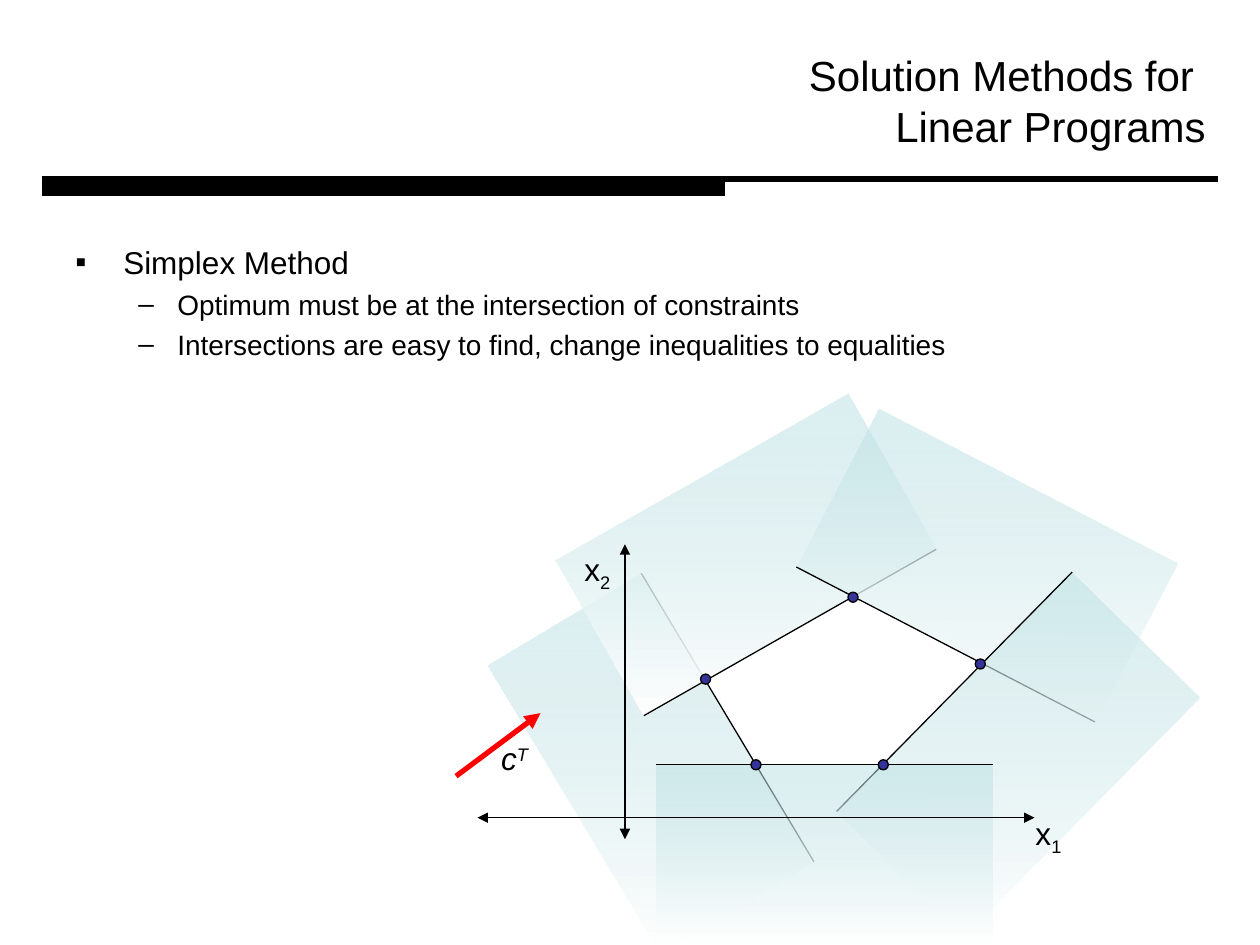
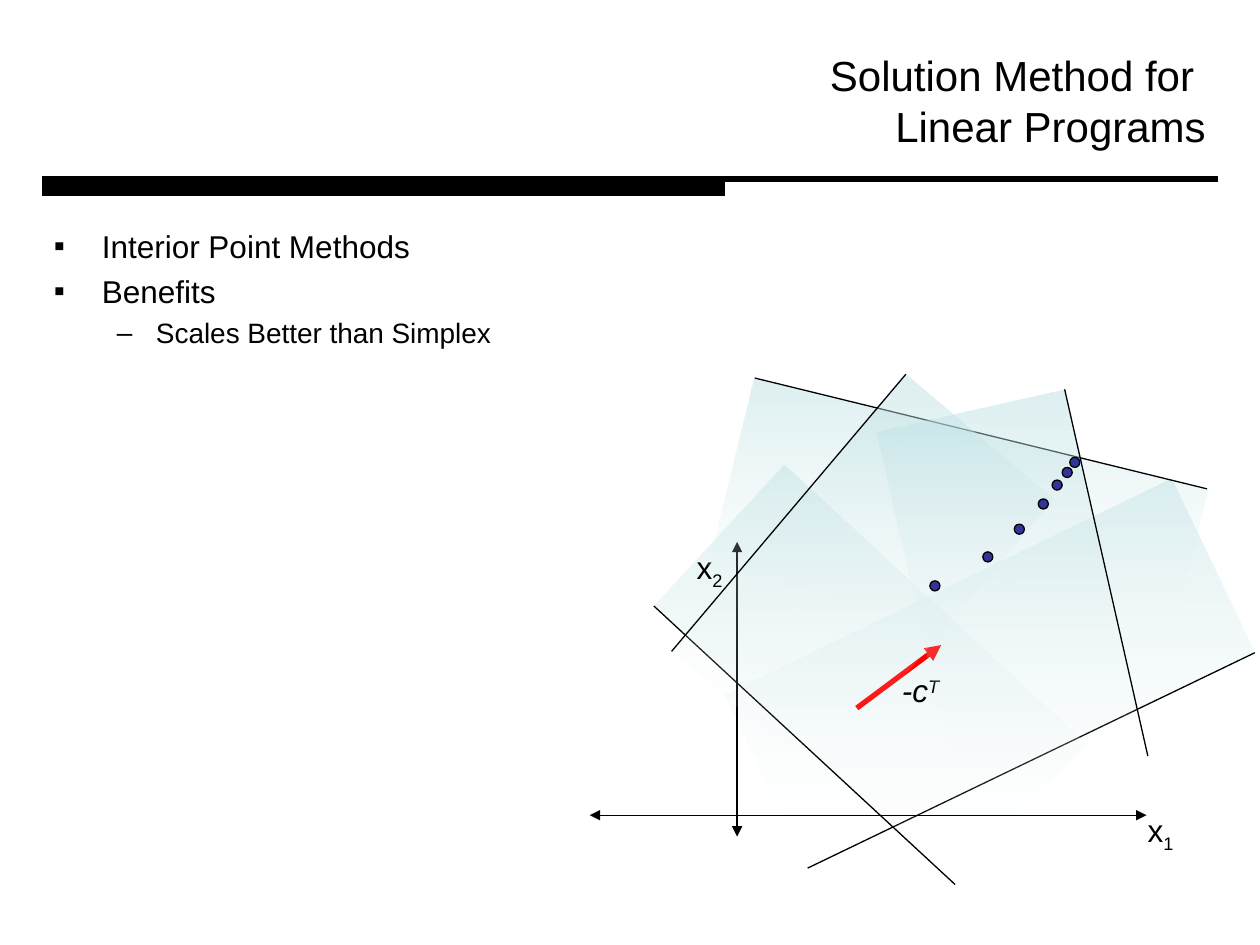
"""Build two slides on solution methods for linear programs."""
from math import atan2, cos, degrees, hypot, sin

from lxml.etree import SubElement
from pptx import Presentation
from pptx.dml.color import RGBColor
from pptx.enum.shapes import MSO_CONNECTOR, MSO_SHAPE
from pptx.enum.text import MSO_ANCHOR, MSO_AUTO_SIZE, PP_ALIGN
from pptx.oxml.ns import qn
from pptx.util import Inches, Pt

FONT = "Arial"
BLACK, WHITE, RED, NAVY, AQUA = "000000", "FFFFFF", "FF0000", "333399", "BBE0E3"
TITLE_BOX = (1.5, 0.17, 8.17, 1.25)
RULES = [((0.33, 1.42), (9.67, 1.42), 3), ((0.33, 1.5), (5.75, 1.5), 8)]
BULLETS = [("▪", 18, 0.38, -0.38), ("–", 16, 0.81, -0.31)]
DOT = 0.08

SLIDES = [
    {
        "title": "Solution Methods for \nLinear Programs",
        "points": [
            (0, "Simplex Method"),
            (1, "Optimum must be at the intersection of constraints"),
            (1, "Intersections are easy to find, change inequalities to equalities"),
        ],
        "points_box": (0.5, 1.88, 9.19, 4.82),
        "depth": 1.42,
        "fade_alpha": 100,
        "back_constraints": [
            ((5.09, 4.55), (6.46, 6.84)),
            ((7.43, 4.36), (5.11, 5.68)),
            ((8.69, 5.73), (6.32, 4.5)),
            ((6.64, 6.44), (8.51, 4.54)),
            ((5.21, 6.07), (7.88, 6.07)),
        ],
        "front_constraints": [],
        "cost": ("c", (3.62, 6.16)),
        "origin": (4.96, 6.49),
        "solutions": [(5.6, 5.39), (6.77, 4.74), (7.01, 6.07), (6, 6.07), (7.78, 5.27)],
    },
    {
        "title": "Solution Method for \nLinear Programs",
        "points": [
            (0, "Interior Point Methods"),
            (0, "Benefits"),
            (1, "Scales Better than Simplex"),
        ],
        "points_box": (0.33, 1.75, 9.17, 5.17),
        "depth": 1.53,
        "fade_alpha": 0,
        "back_constraints": [
            ((9.96, 5.18), (6.41, 6.89)),
            ((7.58, 7.02), (5.19, 4.81)),
        ],
        "front_constraints": [
            ((5.99, 3), (9.58, 3.88)),
            ((8.45, 3.09), (9.11, 6)),
            ((5.33, 5.17), (7.19, 2.97)),
        ],
        "cost": ("-c", (6.8, 5.62)),
        "origin": (5.85, 6.47),
        "solutions": [(7.42, 4.65), (7.84, 4.42), (8.09, 4.2), (8.28, 4),
                      (8.39, 3.85), (8.47, 3.75), (8.53, 3.67)],
    },
]


def rgb(value):
    """Turn a hex string into a colour."""
    return RGBColor.from_string(value)


def inches(*values):
    """Convert several lengths at once."""
    return [Inches(value) for value in values]


def style(run, size, italic=False, baseline=0):
    """Set the font of a run."""
    run.font.name, run.font.size, run.font.italic = FONT, Pt(size), italic
    run.font.color.rgb = rgb(BLACK)
    if baseline:
        run.font._element.set("baseline", str(baseline * 1000))


def add_line(slide, start, end, width=0.75, color=BLACK, ends=()):
    """Draw a straight line with optional arrowheads."""
    line = slide.shapes.add_connector(MSO_CONNECTOR.STRAIGHT, *inches(*start, *end))
    line.line.width = Pt(width)
    line.line.color.rgb = rgb(color)
    for end_name in ends:
        SubElement(line.line._ln, qn(f"a:{end_name}"), type="triangle")
    SubElement(line._element.spPr, qn("a:effectLst"))
    return line


def add_constraint(slide, start, end, depth, fade_alpha):
    """Draw a constraint line and the shaded half-plane it excludes."""
    dx, dy = end[0] - start[0], end[1] - start[1]
    angle, length = atan2(dy, dx), hypot(dx, dy)
    center_x = (start[0] + end[0]) / 2 - depth / 2 * sin(angle)
    center_y = (start[1] + end[1]) / 2 + depth / 2 * cos(angle)
    half_plane = slide.shapes.add_shape(
        MSO_SHAPE.RECTANGLE,
        *inches(center_x - length / 2, center_y - depth / 2, length, depth))
    half_plane.rotation = degrees(angle) % 360
    half_plane.shadow.inherit = False
    half_plane.line.fill.background()
    half_plane.fill.gradient()
    half_plane.fill.gradient_angle = 270
    half_plane._element.spPr.find(qn("a:gradFill")).set("rotWithShape", "0")
    shades = [(AQUA, 50), (WHITE, fade_alpha)]
    for stop, (color, alpha) in zip(half_plane.fill.gradient_stops, shades):
        stop.color.rgb = rgb(color)
        tint = stop._gs.find(qn("a:srgbClr"))
        SubElement(tint, qn("a:alpha"), val=str(alpha * 1000))
    add_line(slide, start, end)


def add_label(slide, box, symbol, mark, baseline, italic=False):
    """Write a symbol with a raised or lowered mark."""
    frame = slide.shapes.add_textbox(*inches(*box)).text_frame
    frame.word_wrap = True
    paragraph = frame.paragraphs[0]
    for text, shift in ((symbol, 0), (mark, baseline)):
        run = paragraph.add_run()
        run.text = text
        style(run, 18, italic, shift)


def add_cost(slide, symbol, start):
    """Draw the cost vector and its label."""
    x, y = start
    add_line(slide, start, (x + 0.67, y - 0.5), 3, RED, ["tailEnd"])
    add_label(slide, (x + 0.26, y - 0.34, 0.67, 0.4), symbol, "T", 30, True)


def add_axes(slide, origin):
    """Draw both axes through the origin and label them."""
    x, y = origin
    both = ["headEnd", "tailEnd"]
    add_line(slide, (x, y - 2.17), (x, y + 0.17), ends=both)
    add_line(slide, (x - 1.17, y), (x + 3.25, y), ends=both)
    add_label(slide, (x + 3.16, y - 0.08, 0.83, 0.4), "x", "1", -25)
    add_label(slide, (x - 0.42, y - 2.17, 0.5, 0.4), "x", "2", -25)


def add_solution(slide, center):
    """Mark a solution point."""
    x, y = center
    dot = slide.shapes.add_shape(
        MSO_SHAPE.OVAL, *inches(x - DOT / 2, y - DOT / 2, DOT, DOT))
    dot.shadow.inherit = False
    dot.fill.solid()
    dot.fill.fore_color.rgb = rgb(NAVY)
    dot.line.color.rgb = rgb(BLACK)
    dot.line.width = Pt(0.75)


def set_title(slide, text):
    """Place and format the title."""
    title = slide.shapes.title
    title.left, title.top, title.width, title.height = inches(*TITLE_BOX)
    frame = title.text_frame
    frame.auto_size = MSO_AUTO_SIZE.NONE
    frame.vertical_anchor = MSO_ANCHOR.MIDDLE
    paragraph = frame.paragraphs[0]
    paragraph.text = text
    paragraph.alignment = PP_ALIGN.RIGHT
    for run in paragraph.runs:
        style(run, 24)


def add_points(slide, box, points):
    """Write the bulleted points."""
    frame = slide.shapes.add_textbox(*inches(*box)).text_frame
    frame.word_wrap = True
    for index, (level, text) in enumerate(points):
        paragraph = frame.add_paragraph() if index else frame.paragraphs[0]
        mark, size, margin, indent = BULLETS[level]
        paragraph.text = text
        paragraph.level = level
        paragraph.space_before = Pt(round(size * 0.23, 1))
        properties = paragraph._p.get_or_add_pPr()
        properties.set("marL", str(Inches(margin)))
        properties.set("indent", str(Inches(indent)))
        SubElement(properties, qn("a:buFont"), typeface=FONT)
        SubElement(properties, qn("a:buChar"), char=mark)
        style(paragraph.runs[0], size)


def add_rules(slide):
    """Draw the shared rules and hand them to the slide's layout."""
    for start, end, width in RULES:
        rule = add_line(slide, start, end, width)
        slide.slide_layout.shapes._spTree.append(rule._element)


def build_slide(slide, content):
    """Fill one slide from its content."""
    def add_constraints(layer):
        """Draw one layer of constraints."""
        for start, end in content[layer]:
            add_constraint(slide, start, end, content["depth"], content["fade_alpha"])

    set_title(slide, content["title"])
    add_constraints("back_constraints")
    add_points(slide, content["points_box"], content["points"])
    add_cost(slide, *content["cost"])
    add_axes(slide, content["origin"])
    add_constraints("front_constraints")
    for center in content["solutions"]:
        add_solution(slide, center)


def main():
    """Build and save the presentation."""
    deck = Presentation()
    deck.slide_width, deck.slide_height = inches(10, 7.5)
    slides = [deck.slides.add_slide(deck.slide_layouts[5]) for _ in SLIDES]
    add_rules(slides[0])
    for slide, content in zip(slides, SLIDES):
        build_slide(slide, content)
    deck.save("out.pptx")


if __name__ == "__main__":
    main()
